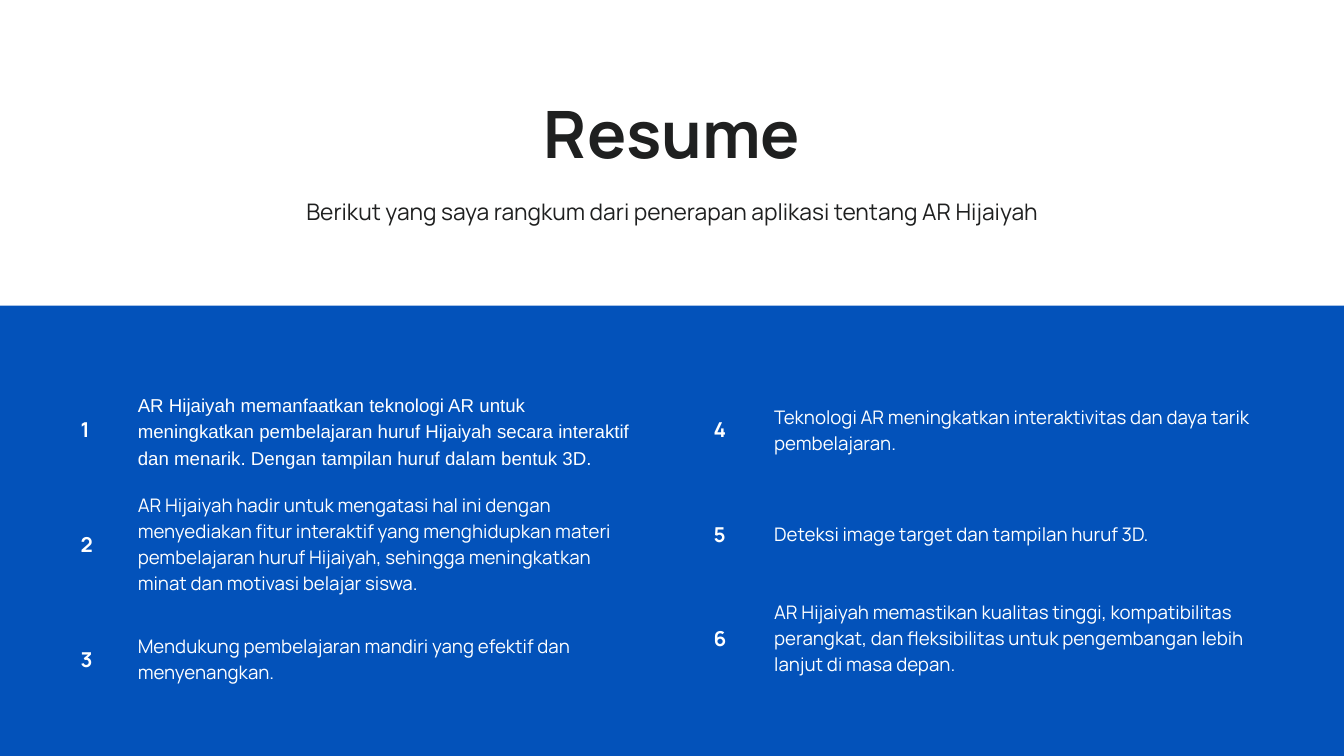
"""Build the "Resume" slide: a white header over two numbered lists on blue."""
import pptx
import pptx.util
import pptx.dml.color
import pptx.enum.shapes
import pptx.enum.text

Pt = pptx.util.Pt
ANCHOR = pptx.enum.text.MSO_ANCHOR
ALIGN = pptx.enum.text.PP_ALIGN

COLORS = {"blue": "0352BA", "white": "FFFFFF", "ink": "1F2020"}
FONT = "Manrope"
NO_GRID_STYLE = "{2D5ABB26-0587-4C30-8999-92F81FD0307C}"

TITLE = "Resume"
SUBTITLE = "Berikut yang saya rangkum dari penerapan aplikasi tentang AR Hijaiyah"

LISTS = [
    {
        "left": 80.64,
        "columns": (61.2, 542.88),
        "rows": (111.6, 133.92, 111.6),
        "start": 1,
        "items": [
            ("AR Hijaiyah memanfaatkan teknologi AR untuk meningkatkan pembelajaran "
             "huruf Hijaiyah secara interaktif dan menarik. Dengan tampilan huruf "
             "dalam bentuk 3D.", "Arial"),
            ("AR Hijaiyah hadir untuk mengatasi hal ini dengan menyediakan fitur "
             "interaktif yang menghidupkan materi pembelajaran huruf Hijaiyah, "
             "sehingga meningkatkan minat dan motivasi belajar siswa.", FONT),
            ("Mendukung pembelajaran mandiri yang efektif dan menyenangkan.", FONT),
        ],
    },
    {
        "left": 758.88,
        "columns": (64.8, 535.68),
        "rows": (111.6, 111.6, 111.6),
        "start": 4,
        "items": [
            ("Teknologi AR meningkatkan interaktivitas dan daya tarik pembelajaran.", FONT),
            ("Deteksi image target dan tampilan huruf 3D.", FONT),
            ("AR Hijaiyah memastikan kualitas tinggi, kompatibilitas perangkat, dan "
             "fleksibilitas untuk pengembangan lebih lanjut di masa depan.", FONT),
        ],
    },
]
LIST_TOP = 404.64
CELL_INSET = 5.76
HEADER_HEIGHT = 327.6
TEXT_LEFT, TEXT_WIDTH = 169.2, 1101.6


def rgb(name):
    """Return the named colour."""
    return pptx.dml.color.RGBColor.from_string(COLORS[name])


def set_text(tf, text, size, spacing, color, bold=False, font=FONT, align=ALIGN.LEFT):
    """Write one formatted paragraph into a text frame."""
    tf.text = text
    p = tf.paragraphs[0]
    p.alignment = align
    p.line_spacing = Pt(spacing)
    p.font.name = font
    p.font.size = Pt(size)
    p.font.bold = bold
    p.font.color.rgb = rgb(color)


def add_heading(sp, top, height, text, size, spacing, bold):
    """Place a centred heading line in the header."""
    sp.left, sp.top, sp.width, sp.height = map(Pt, (TEXT_LEFT, top, TEXT_WIDTH, height))
    tf = sp.text_frame
    tf.word_wrap = True
    tf.auto_size = pptx.enum.text.MSO_AUTO_SIZE.NONE
    tf.vertical_anchor = ANCHOR.TOP
    tf.margin_left = tf.margin_top = tf.margin_right = tf.margin_bottom = 0
    set_text(tf, text, size, spacing, "ink", bold, align=ALIGN.CENTER)


def add_list(s, left, columns, rows, start, items):
    """Add a borderless table of numbered statements."""
    frame = s.shapes.add_table(len(rows), len(columns), Pt(left), Pt(LIST_TOP),
                               Pt(sum(columns)), Pt(sum(rows)))
    table = frame.table
    table.first_row = table.horz_banding = False
    table._tbl.tblPr.find(pptx.oxml.ns.qn("a:tableStyleId")).text = NO_GRID_STYLE
    for column, width in zip(table.columns, columns):
        column.width = Pt(width)
    for row, height in zip(table.rows, rows):
        row.height = Pt(height)
    for cell in table.iter_cells():
        cell.fill.background()
        cell.vertical_anchor = ANCHOR.MIDDLE
        cell.margin_left = cell.margin_right = Pt(CELL_INSET)
        cell.margin_top = cell.margin_bottom = Pt(CELL_INSET)
    for i, (text, font) in enumerate(items):
        set_text(table.cell(i, 0).text_frame, str(start + i), 22, 30.8, "white", True)
        set_text(table.cell(i, 1).text_frame, text, 20, 28, "white", font=font)


def main():
    """Assemble and save the slide."""
    prs = pptx.Presentation()
    prs.slide_width, prs.slide_height = Pt(1440), Pt(810)
    s = prs.slides.add_slide(prs.slide_layouts[5])
    s.background.fill.solid()
    s.background.fill.fore_color.rgb = rgb("blue")

    for numbered in LISTS:
        add_list(s, **numbered)

    header = s.shapes.add_shape(pptx.enum.shapes.MSO_SHAPE.RECTANGLE, 0, 0,
                                prs.slide_width, Pt(HEADER_HEIGHT))
    header.shadow.inherit = False
    header.fill.solid()
    header.fill.fore_color.rgb = rgb("white")
    header.line.fill.background()

    title = s.shapes.title
    header._element.addnext(title._element)
    add_heading(title, 92.88, 90.72, TITLE, 70, 91, True)
    subtitle = s.shapes.add_textbox(0, 0, 0, 0)
    add_heading(subtitle, 206.64, 33.12, SUBTITLE, 24.4, 34.1, False)

    prs.save("out.pptx")


if __name__ == "__main__":
    main()
